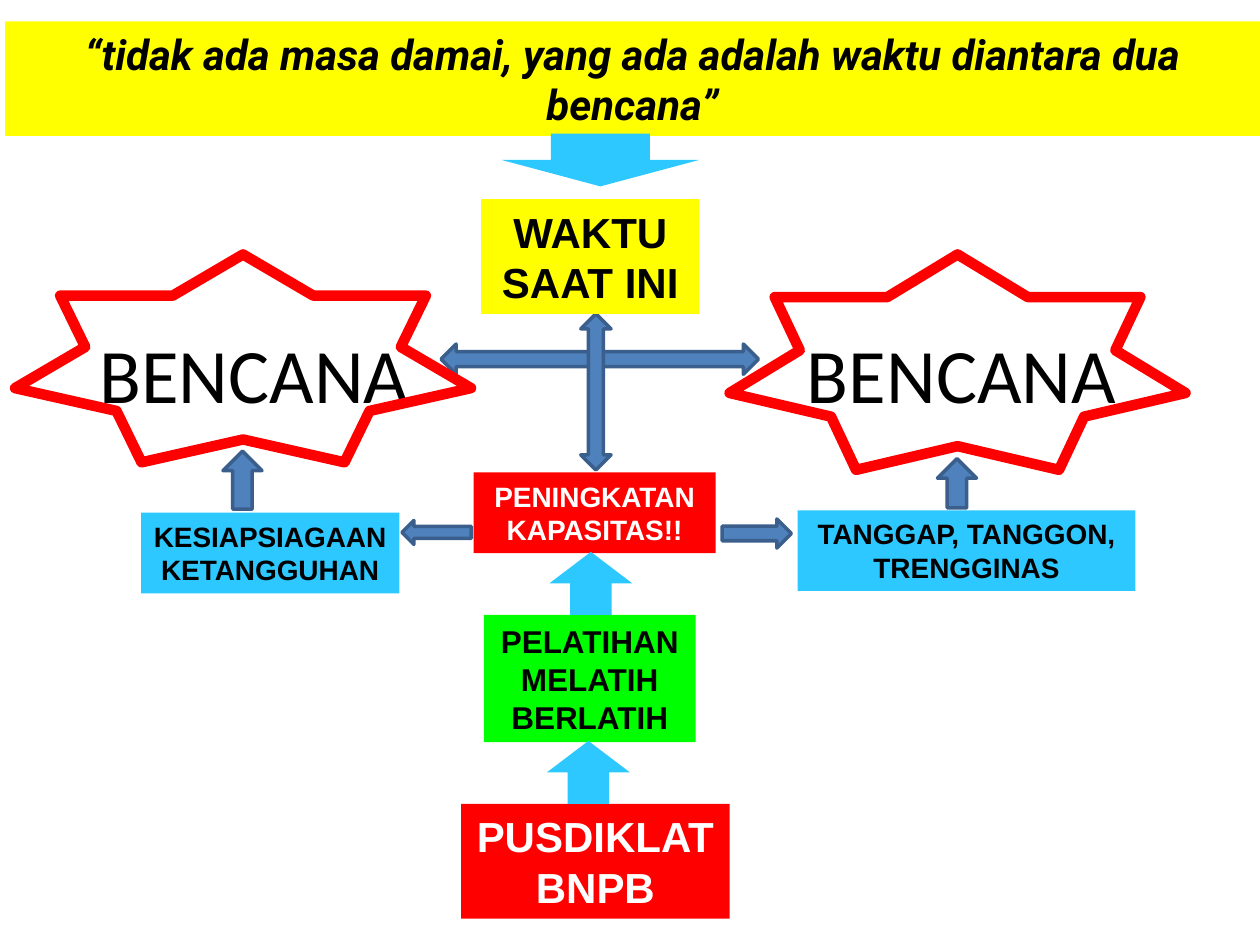
from dataclasses import dataclass
from typing import Optional

from pptx import Presentation
from pptx.dml.color import RGBColor
from pptx.enum import shapes, text
from pptx.util import Pt

Kind = shapes.MSO_SHAPE


@dataclass(frozen=True)
class Theme:
    black: str = "000000"
    white: str = "FFFFFF"
    yellow: str = "FFFF00"
    red: str = "FF0000"
    green: str = "00FF00"
    sky: str = "2DC8FF"
    blue: str = "4F81BD"
    navy: str = "3A5F8C"
    body: str = "Arial"
    head: str = "Calibri"
    quote: str = "Roboto"
    small: float = 16
    mid: float = 18
    big: float = 24
    huge: float = 44
    thin: float = 2
    thick: float = 6


T = Theme()


@dataclass(frozen=True)
class Area:
    left: float
    top: float
    width: float
    height: float

    def pts(self) -> list:
        return [Pt(n) for n in (self.left, self.top, self.width, self.height)]


@dataclass(frozen=True)
class Box:
    area: Area
    words: str
    fill: str
    size: float
    ink: str = T.black
    font: str = T.body
    slant: bool = False


@dataclass(frozen=True)
class Form:
    kind: Kind
    area: Area
    fill: Optional[str] = T.blue
    line: Optional[str] = T.navy
    width: float = T.thin


def draw_form(slide, form: Form):
    shape = slide.shapes.add_shape(form.kind, *form.area.pts())
    shape.shadow.inherit = False
    if form.fill:
        shape.fill.solid()
        shape.fill.fore_color.rgb = RGBColor.from_string(form.fill)
    else:
        shape.fill.background()
    if form.line:
        shape.line.color.rgb = RGBColor.from_string(form.line)
        shape.line.width = Pt(form.width)
    else:
        shape.line.fill.background()
    return shape


def write(shape, words: str, font: str, size: float, ink: str,
          bold: bool = False, slant: bool = False) -> None:
    frame = shape.text_frame
    frame.word_wrap = True
    frame.margin_left = frame.margin_right = Pt(6)
    frame.vertical_anchor = text.MSO_ANCHOR.MIDDLE
    para = frame.paragraphs[0]
    para.text = words
    para.alignment = text.PP_ALIGN.CENTER
    para.font.name = font
    para.font.size = Pt(size)
    para.font.bold = bold
    para.font.italic = slant
    para.font.color.rgb = RGBColor.from_string(ink)


def draw_box(slide, box: Box) -> None:
    shape = draw_form(slide, Form(Kind.RECTANGLE, box.area, box.fill, None))
    write(shape, box.words, box.font, box.size, box.ink, True, box.slant)


def draw_title(slide, area: Area) -> None:
    label = slide.shapes.add_textbox(*area.pts())
    write(label, "BENCANA", T.head, T.huge, T.black)


TITLES = [Area(mid - 110, 167.8, 220, 90) for mid in (145.2, 549.5)]

FORMS = [
    Form(Kind.LEFT_RIGHT_ARROW, Area(252, 196.6, 181.4, 17.3)),
    Form(Kind.STAR_7_POINT, Area(8.6, 145.4, 260.6, 118.8),
         None, T.red, T.thick),
    Form(Kind.STAR_7_POINT, Area(416.9, 145.4, 260.6, 123.1),
         None, T.red, T.thick),
    Form(Kind.UP_DOWN_ARROW, Area(331.9, 179.3, 17.3, 89.3)),
    Form(Kind.LEFT_ARROW, Area(229.7, 297.4, 39.6, 13.7)),
    Form(Kind.RIGHT_ARROW, Area(412.6, 296.6, 39.6, 16.6)),
    Form(Kind.UP_ARROW, Area(127.4, 257.8, 22.3, 33.1)),
    Form(Kind.UP_ARROW, Area(535.7, 262.1, 22.3, 28.1)),
]

BOXES = [
    Box(Area(2.9, 12.2, 717.1, 65.5),
        "“tidak ada masa damai, yang ada adalah waktu diantara dua bencana”",
        T.yellow, T.big, font=T.quote, slant=True),
    Box(Area(275, 113.8, 124.6, 65.5), "WAKTU SAAT INI", T.yellow, T.big),
    Box(Area(270.7, 270, 138.2, 46.1), "PENINGKATAN KAPASITAS!!",
        T.red, T.small, T.white),
    Box(Area(80.6, 293, 147.6, 46.1), "KESIAPSIAGAAN KETANGGUHAN",
        T.sky, T.small),
    Box(Area(455.8, 291.6, 193, 46.1), "TANGGAP, TANGGON, TRENGGINAS",
        T.sky, T.small),
    Box(Area(276.5, 351.4, 121, 72.7), "PELATIHAN MELATIH BERLATIH",
        T.green, T.mid),
    Box(Area(263.5, 459.4, 153.4, 65.5), "PUSDIKLAT BNPB",
        T.red, T.big, T.white),
]

STEPS = [
    Form(Kind.DOWN_ARROW, Area(286.6, 76.3, 113, 30.2), T.sky, None),
    Form(Kind.UP_ARROW, Area(313.9, 315.4, 47.5, 36), T.sky, None),
    Form(Kind.UP_ARROW, Area(312.5, 423.4, 47.5, 36), T.sky, None),
]


def main() -> None:
    deck = Presentation()
    deck.slide_width, deck.slide_height = Pt(720), Pt(540)
    slide = deck.slides.add_slide(deck.slide_layouts[6])
    for area in TITLES:
        draw_title(slide, area)
    for form in FORMS:
        draw_form(slide, form)
    for box in BOXES:
        draw_box(slide, box)
    for step in STEPS:
        draw_form(slide, step)
    deck.save("out.pptx")


if __name__ == "__main__":
    main()
